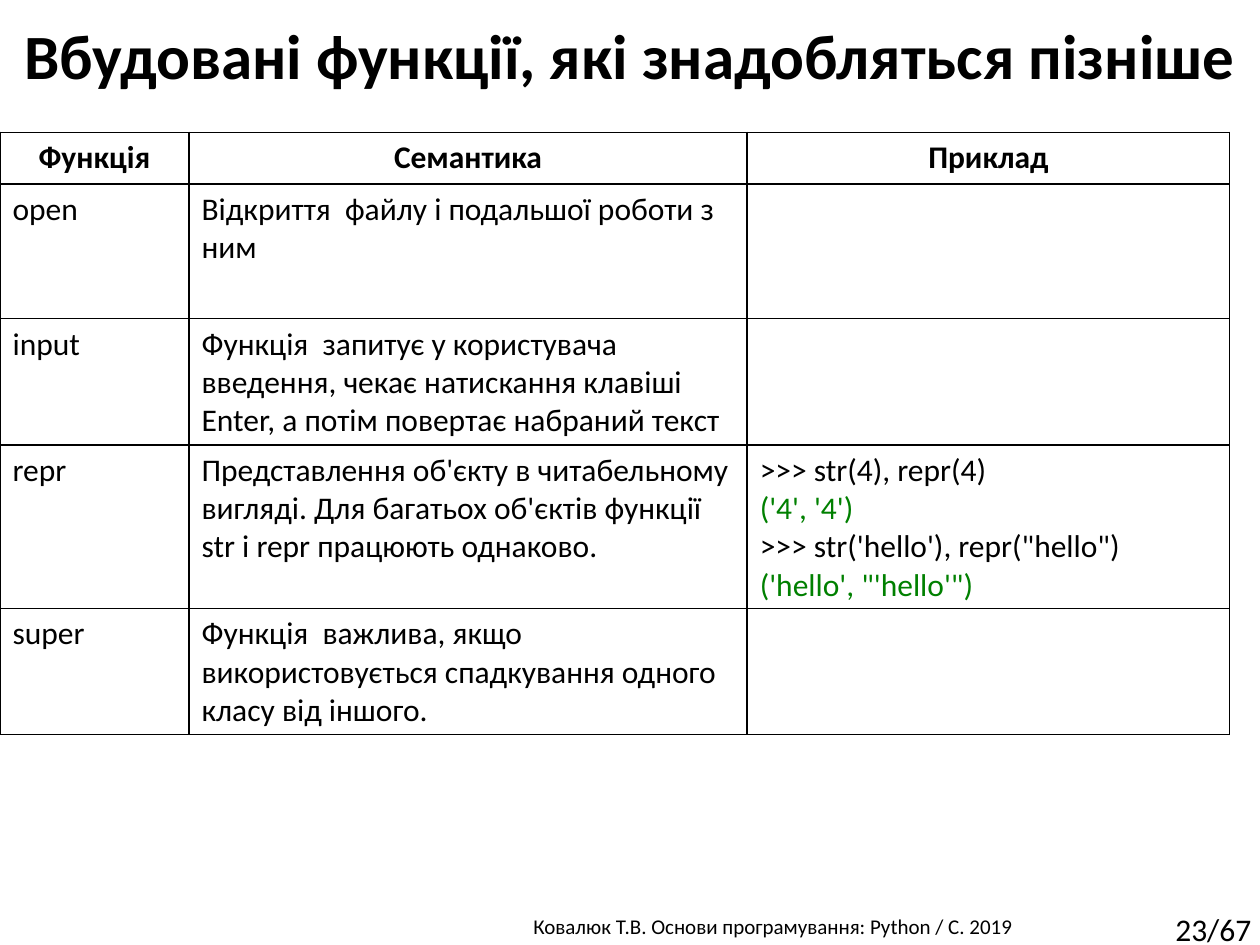
from lxml.etree import SubElement
from pptx import Presentation
from pptx.dml.color import RGBColor
from pptx.enum.text import PP_ALIGN
from pptx.oxml.ns import qn
from pptx.util import Inches, Pt

BLACK, GREEN = "000000", "008000"
COLS = [15, 44.3, 38.3]
ROWS = [4.1, 10.7, 10, 13, 10]
HEADS = ["Функція", "Семантика", "Приклад"]
BODY = [
    ["open", "Відкриття  файлу і подальшої роботи з ним", ""],
    ["input", "Функція  запитує у користувача введення, чекає натискання "
     "клавіші Enter, а потім повертає набраний текст", ""],
    ["repr", "Представлення об'єкту в читабельному вигляді. Для багатьох "
     "об'єктів функції str і repr працюють однаково.",
     ">>> str(4), repr(4)\n('4', '4')\n"
     ">>> str('hello'), repr(\"hello\")\n('hello', \"'hello'\")"],
    ["super", "Функція  важлива, якщо використовується спадкування одного "
     "класу від іншого.", ""],
]


def color(code):
    return RGBColor.from_string(code)


def unit(count):
    """Length of count cells on a grid of 100 columns by 75 rows."""
    return Inches(count / 10)


class Deck:
    font = "Calibri"

    def __init__(self):
        self.prs = Presentation()
        self.prs.slide_width, self.prs.slide_height = unit(100), unit(75)
        self.slide = self.prs.slides.add_slide(self.prs.slide_layouts[6])

    def label(self, frame, words, size=18, bold=False, align=PP_ALIGN.LEFT):
        """Fill a frame; lines that open with a bracket are output, in green."""
        frame.text = words
        for par in frame.paragraphs:
            par.alignment = align
            par.font.size = Pt(size)
            for run in par.runs:
                font = run.font
                font.name, font.size, font.bold = self.font, Pt(size), bold
                font.color.rgb = color(GREEN if run.text.startswith("(") else BLACK)

    def text(self, words, left, top, width, height, wrap=True, **style):
        box = self.slide.shapes.add_textbox(*map(unit, (left, top, width, height)))
        box.text_frame.word_wrap = wrap
        self.label(box.text_frame, words, **style)

    def edge(self, cell):
        props = cell._tc.get_or_add_tcPr()
        for side in ("a:lnL", "a:lnR", "a:lnT", "a:lnB"):
            line = SubElement(props, qn(side), w=str(Pt(1)))
            fill = SubElement(line, qn("a:solidFill"))
            SubElement(fill, qn("a:srgbClr"), val=BLACK)

    def table(self, heads, body, left, top, cols, rows):
        table = self.slide.shapes.add_table(
            len(rows), len(cols), unit(left), unit(top),
            unit(sum(cols)), unit(sum(rows))).table
        table.first_row = table.horz_banding = False
        for col, width in zip(table.columns, cols):
            col.width = unit(width)
        for row, height in zip(table.rows, rows):
            row.height = unit(height)
        for r, line in enumerate([heads, *body]):
            style = {"bold": True, "align": PP_ALIGN.CENTER} if r == 0 else {}
            for c, words in enumerate(line):
                cell = table.cell(r, c)
                self.edge(cell)
                cell.fill.background()
                self.label(cell.text_frame, words, **style)


def main():
    deck = Deck()
    deck.text("Ковалюк Т.В. Основи програмування: Python / C. 2019",
              32.9, 72, 56.9, 3, size=12, align=PP_ALIGN.CENTER)
    deck.text("23/67", 92.3, 71.7, 8.5, 4, wrap=False)
    deck.text("Вбудовані функції, які знадобляться пізніше",
              0, 0.8, 100, 13.1, size=36, bold=True, align=PP_ALIGN.CENTER)
    deck.table(HEADS, BODY, 0, 10.5, COLS, ROWS)
    deck.prs.save("out.pptx")


if __name__ == "__main__":
    main()
